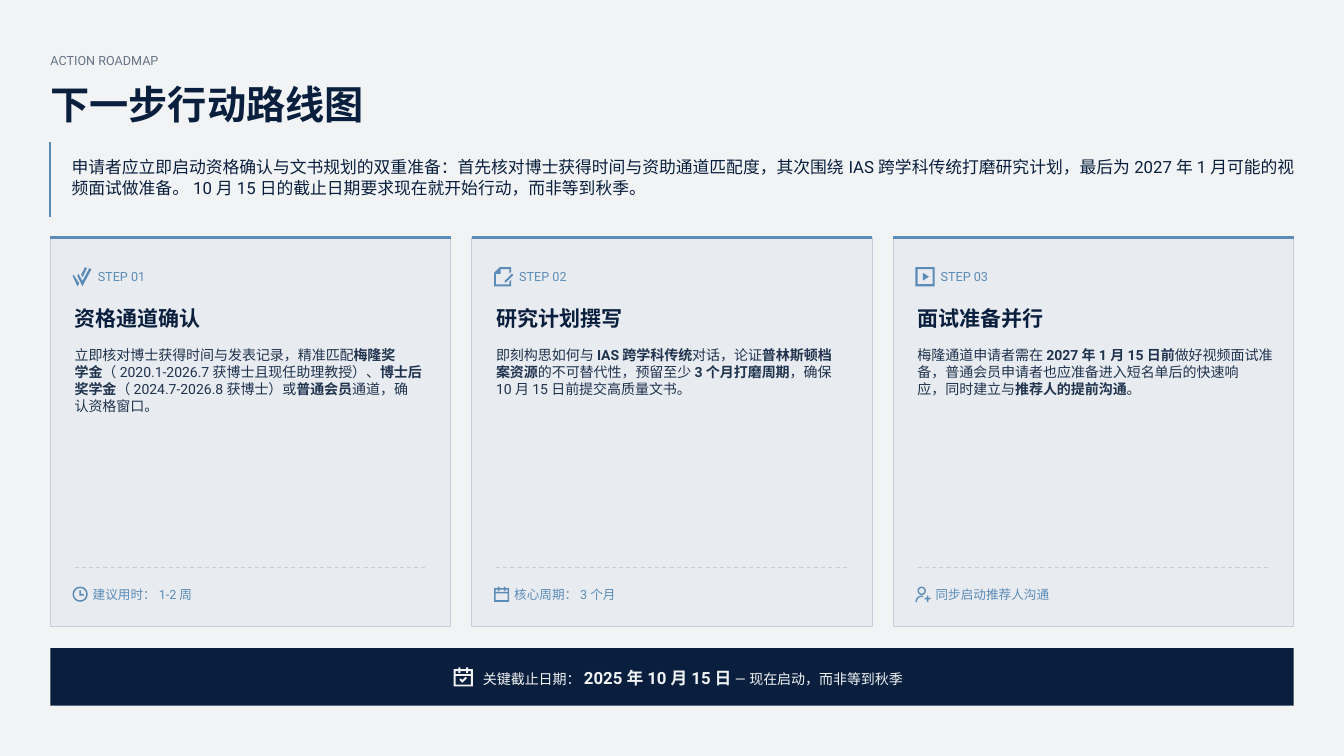
from copy import deepcopy
from math import cos, radians, sin

from lxml import etree
from pptx import Presentation
from pptx.dml.color import RGBColor
from pptx.enum.dml import MSO_LINE
from pptx.enum.shapes import MSO_CONNECTOR, MSO_SHAPE
from pptx.enum.text import MSO_ANCHOR, MSO_AUTO_SIZE, PP_ALIGN
from pptx.oxml.ns import qn
from pptx.util import Inches, Pt

RECTANGLE = MSO_SHAPE.RECTANGLE
STRAIGHT = MSO_CONNECTOR.STRAIGHT
DASH = MSO_LINE.DASH
TOP = MSO_ANCHOR.TOP
LEFT_ALIGN = PP_ALIGN.LEFT
NO_AUTO_SIZE = MSO_AUTO_SIZE.NONE

FONT = "Roboto"
COLORS = {"paper": "F1F3F5", "navy": "0A1F3D", "blue": "5B8CB8",
          "card": "E8EBEF", "border": "C5CDD6"}
SLIDE_WIDTH, SLIDE_HEIGHT = 13.33, 7.5
MARGIN, GUTTER = 0.5, 0.21
CONTENT_WIDTH = SLIDE_WIDTH - 2 * MARGIN
CARD_WIDTH = (CONTENT_WIDTH - 2 * GUTTER) / 3
CARD_TOP, CARD_HEIGHT, PADDING = 2.36, 3.86, 0.24
BANNER_TOP, BANNER_HEIGHT = 6.43, 0.57
LARGE_ICON, SMALL_ICON = 0.19, 0.15
ICON_GRID, ICON_PRECISION = 20, 100

LEAD = [
    "申请者应立即启动资格确认与文书规划的双重准备：首先核对博士获得时间与资助通道匹配度，"
    "其次围绕IAS跨学科传统打磨研究计划，最后为2027年1月可能的视",
    "频面试做准备。10月15日的截止日期要求现在就开始行动，而非等到秋季。",
]
CARDS = [
    ("check", "STEP 01", "资格通道确认",
     ["立即核对博士获得时间与发表记录，精准匹配|梅隆奖",
      "|学金|（2020.1-2026.7获博士且现任助理教授）、|博士后",
      "|奖学金|（2024.7-2026.8获博士）或|普通会员|通道，确",
      "认资格窗口。"],
     "clock", "建议用时：1-2周"),
    ("document", "STEP 02", "研究计划撰写",
     ["即刻构思如何与|IAS跨学科传统|对话，论证|普林斯顿档",
      "|案资源|的不可替代性，预留至少|3个月打磨周期|，确保",
      "10月15日前提交高质量文书。"],
     "calendar", "核心周期：3个月"),
    ("play", "STEP 03", "面试准备并行",
     ["梅隆通道申请者需在|2027年1月15日前|做好视频面试准",
      "备，普通会员申请者也应准备进入短名单后的快速响",
      "应，同时建立与|推荐人的提前沟通|。"],
     "person", "同步启动推荐人沟通"),
]


def arc(center_x, center_y, radius, start=0, end=360, steps=32):
    angles = [radians(start + (end - start) * step / steps) for step in range(steps + 1)]
    return [(center_x + radius * cos(angle), center_y + radius * sin(angle)) for angle in angles]


def box(left, top, right, bottom):
    return [(left, top), (right, top), (right, bottom), (left, bottom)]


CALENDAR = [
    [(5, 2), (5, 0), (7, 0), (7, 2), (13, 2), (13, 0), (15, 0), (15, 2),
     (20, 2), (20, 20), (0, 20), (0, 2)],
    box(2, 9, 18, 18),
    [(2, 4), (5, 4), (5, 6), (7, 6), (7, 4), (13, 4), (13, 6), (15, 6),
     (15, 4), (18, 4), (18, 7), (2, 7)],
]
ICONS = {
    "check": [
        [(6, 7), (9, 12.2), (10.3, 14.5), (17.5, 1), (19.5, 2.5), (10.3, 20), (5, 9.5)],
        [(10.5, 10.5), (9, 8), (13, 0), (15, 1)],
        [(1.8, 9.2), (7, 17), (5, 20), (0, 9), (1.5, 8)],
    ],
    "document": [
        [(18, 4.8), (16, 6.8), (16, 2), (7, 2), (7, 7), (2, 7), (2, 18), (16, 18),
         (16, 15.2), (18, 13.2), (18, 20), (0, 20), (0, 6), (6, 0), (18, 0)],
        [(18.8, 6.8), (20.2, 8.2), (12.4, 16), (11, 16), (11, 14.6)],
    ],
    "play": [box(0, 0, 20, 20), box(2.2, 2.2, 17.8, 17.8),
             [(7.6, 5.8), (14, 10), (7.6, 14.2)]],
    "clock": [arc(10, 10, 10), arc(10, 10, 8),
              [(9, 5), (11, 5), (11, 10), (15, 10), (15, 12), (9, 12)]],
    "calendar": CALENDAR,
    "deadline": CALENDAR + [[(9.1, 13.3), (12.5, 9.9), (13.9, 11.3), (9.1, 16.1),
                             (6, 13), (7.4, 11.6)]],
    "person": [
        arc(8.2, 5.5, 5.5), arc(8.2, 5.5, 3.7),
        arc(8.2, 20, 8.2, 180, 285) + arc(8.2, 20, 6.4, 285, 180),
        [(12, 15), (15, 15), (15, 12), (17, 12), (17, 15), (20, 15), (20, 17),
         (17, 17), (17, 20), (15, 20), (15, 17), (12, 17)],
    ],
}


def color(name):
    return RGBColor.from_string(COLORS[name])


def place(left, top, width, height):
    return [Inches(length) for length in (left, top, width, height)]


def write_text(shape, lines, size, color_name, bold=False, alpha=None, emphasis_size=None):
    frame = shape.text_frame
    frame.auto_size = NO_AUTO_SIZE
    frame.word_wrap = True
    frame.vertical_anchor = TOP
    frame.margin_left = frame.margin_top = frame.margin_right = frame.margin_bottom = 0
    for index, line in enumerate(lines):
        paragraph = frame.add_paragraph() if index else frame.paragraphs[0]
        paragraph.alignment = LEFT_ALIGN
        paragraph.font.name = FONT
        paragraph.font.size = Pt(size)
        paragraph.font.bold = bold
        paragraph.font.color.rgb = color(color_name)
        for position, text in enumerate(line.split("|")):
            if not text:
                continue
            run = paragraph.add_run()
            run.text = text
            if position % 2:
                run.font.bold = True
                if emphasis_size:
                    run.font.size = Pt(emphasis_size)
    for latin in list(shape.element.iter(qn("a:latin"))):
        east_asian = deepcopy(latin)
        east_asian.tag = qn("a:ea")
        latin.addnext(east_asian)
    if alpha:
        for tint in shape.element.iter(qn("a:srgbClr")):
            etree.SubElement(tint, qn("a:alpha")).set("val", str(alpha * 1000))


def add_text(slide, position, lines, size, color_name, **style):
    write_text(slide.shapes.add_textbox(*place(*position)), lines, size, color_name, **style)


def add_panel(slide, position, fill, border=None):
    panel = slide.shapes.add_shape(RECTANGLE, *place(*position))
    panel.shadow.inherit = False
    panel.fill.solid()
    panel.fill.fore_color.rgb = color(fill)
    if border:
        panel.line.color.rgb = color(border)
        panel.line.width = Pt(0.75)
    else:
        panel.line.fill.background()


def add_rule(slide, start, end, color_name, width, dash=None):
    rule = slide.shapes.add_connector(STRAIGHT, *place(*start, *end))
    rule.line.color.rgb = color(color_name)
    rule.line.width = Pt(width)
    if dash:
        rule.line.dash_style = dash
    etree.SubElement(rule.element.spPr, qn("a:effectLst"))


def add_icon(slide, name, left, top, size, color_name):
    contours = [[(x * ICON_PRECISION, y * ICON_PRECISION) for x, y in contour]
                for contour in ICONS[name]]
    builder = slide.shapes.build_freeform(
        *contours[0][0], scale=Inches(size) / (ICON_GRID * ICON_PRECISION))
    for index, contour in enumerate(contours):
        if index:
            builder.move_to(*contour[0])
        builder.add_line_segments(contour[1:], close=True)
    icon = builder.convert_to_shape(Inches(left), Inches(top))
    icon.shadow.inherit = False
    icon.fill.solid()
    icon.fill.fore_color.rgb = color(color_name)
    icon.line.fill.background()


def add_card(slide, column, step_icon, step, heading, body, note_icon, note):
    left = MARGIN + column * (CARD_WIDTH + GUTTER)
    right = left + CARD_WIDTH
    inner = left + PADDING
    inner_width = CARD_WIDTH - 2 * PADDING
    icon_left = inner - 0.02
    divider = CARD_TOP + 3.27
    add_panel(slide, (left, CARD_TOP, CARD_WIDTH, CARD_HEIGHT), "card", "border")
    add_rule(slide, (left, CARD_TOP), (right, CARD_TOP), "blue", 2.25)
    add_icon(slide, step_icon, icon_left, CARD_TOP + 0.29, LARGE_ICON, "blue")
    add_text(slide, (left + 0.47, CARD_TOP + 0.31, 1, 0.15), [step], 9, "blue")
    add_text(slide, (inner, CARD_TOP + 0.67, inner_width, 0.23), [heading], 15, "navy", bold=True)
    add_text(slide, (inner, CARD_TOP + 1.08, CARD_WIDTH - PADDING, 0.22 * len(body)),
             body, 10, "navy", alpha=90)
    add_rule(slide, (inner, divider), (right - PADDING, divider), "border", 0.75, DASH)
    add_icon(slide, note_icon, icon_left, CARD_TOP + 3.46, SMALL_ICON, "blue")
    add_text(slide, (left + 0.42, CARD_TOP + 3.46, 2, 0.15), [note], 9, "blue")


def add_header(slide):
    add_text(slide, (MARGIN, 0.52, CONTENT_WIDTH, 0.15), ["ACTION ROADMAP"], 9, "navy", alpha=60)
    title = slide.shapes.title
    title.left, title.top, title.width, title.height = place(MARGIN, 0.8, CONTENT_WIDTH, 0.44)
    write_text(title, ["下一步行动路线图"], 28, "navy", bold=True)
    add_rule(slide, (MARGIN, 1.41), (MARGIN, 2.15), "blue", 1.5)
    add_text(slide, (MARGIN + GUTTER, 1.56, SLIDE_WIDTH - MARGIN - GUTTER, 0.44), LEAD, 12, "navy")


def add_banner(slide):
    add_panel(slide, (MARGIN, BANNER_TOP, CONTENT_WIDTH, BANNER_HEIGHT), "navy")
    content_top = BANNER_TOP + (BANNER_HEIGHT - LARGE_ICON) / 2
    add_icon(slide, "deadline", 4.5, content_top, LARGE_ICON, "paper")
    add_text(slide, (4.79, content_top, 4.5, 0.18),
             ["关键截止日期：|2025年10月15日| — 现在启动，而非等到秋季"],
             10, "paper", emphasis_size=12)


def main():
    presentation = Presentation()
    presentation.slide_width = Inches(SLIDE_WIDTH)
    presentation.slide_height = Inches(SLIDE_HEIGHT)
    slide = presentation.slides.add_slide(presentation.slide_layouts[5])
    slide.background.fill.solid()
    slide.background.fill.fore_color.rgb = color("paper")
    add_header(slide)
    for column, card in enumerate(CARDS):
        add_card(slide, column, *card)
    add_banner(slide)
    presentation.save("out.pptx")


if __name__ == "__main__":
    main()
